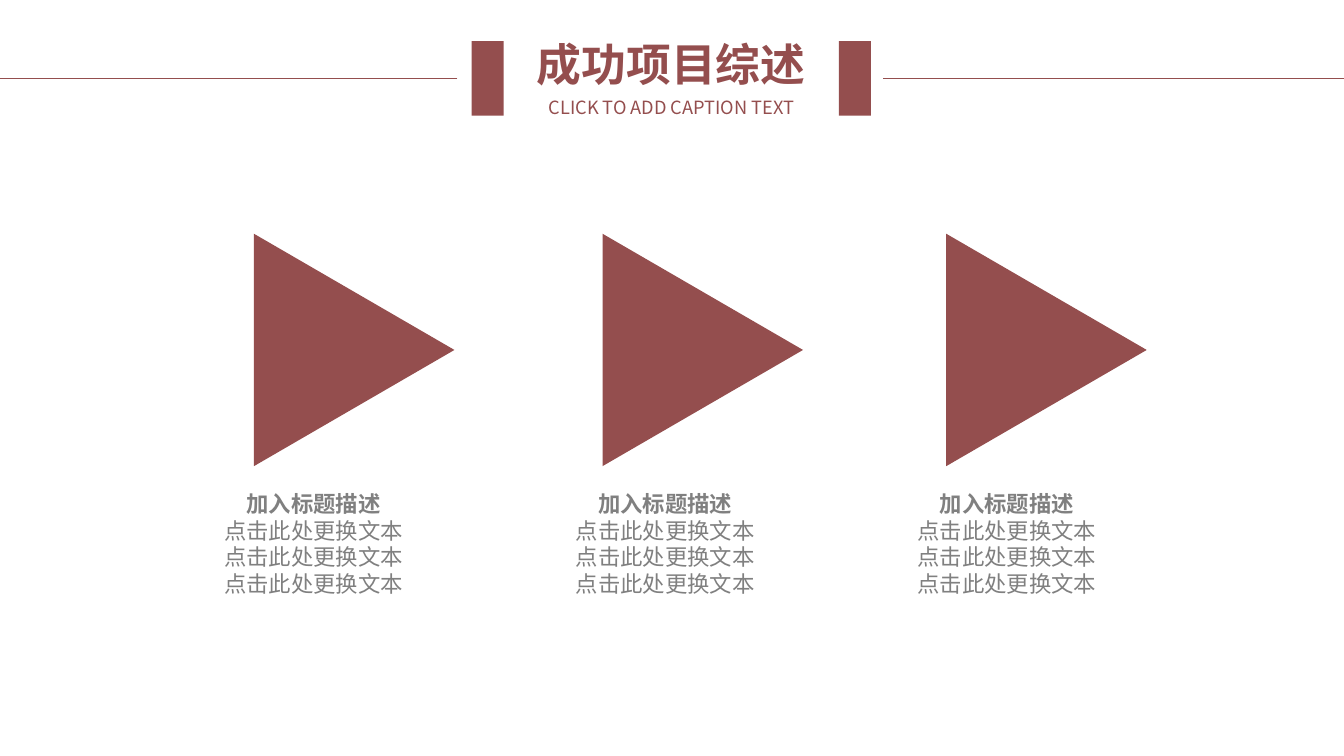
from lxml.etree import SubElement
from pptx import Presentation
from pptx.dml.color import RGBColor
from pptx.enum.shapes import MSO_CONNECTOR, MSO_SHAPE
from pptx.enum.text import MSO_ANCHOR, MSO_AUTO_SIZE, PP_ALIGN
from pptx.oxml.ns import qn
from pptx.util import Pt

FONT = "Noto Sans CJK SC"
RED = "944E4E"
GRAY = "808080"
TITLE = {"size": Pt(32), "bold": True}
CAPTION = {"size": Pt(13), "bold": False}
HEADING = {"size": Pt(16), "bold": True}
BODY = {"size": Pt(16), "bold": False}
HEADER_FRAME = {"word_wrap": True, "vertical_anchor": MSO_ANCHOR.MIDDLE,
                "margin_left": 0, "margin_top": 0,
                "margin_right": 0, "margin_bottom": 0}
COLUMN_FRAME = {"word_wrap": False, "vertical_anchor": MSO_ANCHOR.TOP}
COLUMNS = [(170, 152), (419, 403.2), (664.5, 647.2)]


def set_color(color_format, value):
    """Apply a hex colour to a fill or font colour."""
    color_format.rgb = RGBColor.from_string(value)


def set_attributes(target, values):
    """Set every attribute named in a dict of format values."""
    for name, value in values.items():
        setattr(target, name, value)


def add_text(slide, box, lines, color, frame_format):
    """Add a centred text box with one paragraph per (text, format) line."""
    frame = slide.shapes.add_textbox(*map(Pt, box)).text_frame
    set_attributes(frame, frame_format)
    frame.auto_size = MSO_AUTO_SIZE.SHAPE_TO_FIT_TEXT
    for index, (text, font_format) in enumerate(lines):
        paragraph = frame.add_paragraph() if index else frame.paragraphs[0]
        paragraph.alignment = PP_ALIGN.CENTER
        run = paragraph.add_run()
        run.text = text
        set_attributes(run.font, {"name": FONT, **font_format})
        set_color(run.font.color, color)
        properties = run.font._element
        SubElement(properties, qn("a:ea"), typeface=FONT)


def add_solid(slide, kind, box, rotation=0):
    """Add a red preset shape without outline or shadow."""
    shape = slide.shapes.add_shape(kind, *map(Pt, box))
    shape.rotation = rotation
    shape.shadow.inherit = False
    shape.fill.solid()
    set_color(shape.fill.fore_color, RED)
    shape.line.fill.background()


def add_rule(slide, start, end, top):
    """Add a thin horizontal red line."""
    rule = slide.shapes.add_connector(
        MSO_CONNECTOR.STRAIGHT, Pt(start), Pt(top), Pt(end), Pt(top))
    rule.line.width = Pt(0.5)
    set_color(rule.line.color, RED)
    SubElement(rule._element.spPr, qn("a:effectLst"))


def add_header(slide):
    """Add the title, caption, side bars and rules."""
    add_text(slide, (351.5, 26, 256, 39), [("成功项目综述", TITLE)],
             RED, HEADER_FRAME)
    add_text(slide, (351.5, 68.4, 256, 16),
             [("CLICK TO ADD CAPTION TEXT", CAPTION)], RED, HEADER_FRAME)
    for left in (336.8, 599.2):
        add_solid(slide, MSO_SHAPE.RECTANGLE, (left, 29.4, 23, 53.2))
    for start, end in ((326.7, 0), (960, 630.7)):
        add_rule(slide, start, end, 56)


def add_column(slide, triangle_left, text_left):
    """Add a right-pointing triangle with its description below."""
    add_solid(slide, MSO_SHAPE.ISOSCELES_TRIANGLE,
              (triangle_left, 178.4, 166, 143.2), 90)
    lines = [("加入标题描述", HEADING)] + [("点击此处更换文本", BODY)] * 3
    add_text(slide, (text_left, 346.3, 144, 104.4), lines, GRAY, COLUMN_FRAME)


def main():
    """Build the project overview slide."""
    presentation = Presentation()
    presentation.slide_width, presentation.slide_height = Pt(960), Pt(540)
    slide = presentation.slides.add_slide(presentation.slide_layouts[6])
    add_header(slide)
    for triangle_left, text_left in COLUMNS:
        add_column(slide, triangle_left, text_left)
    presentation.save("out.pptx")


if __name__ == "__main__":
    main()
